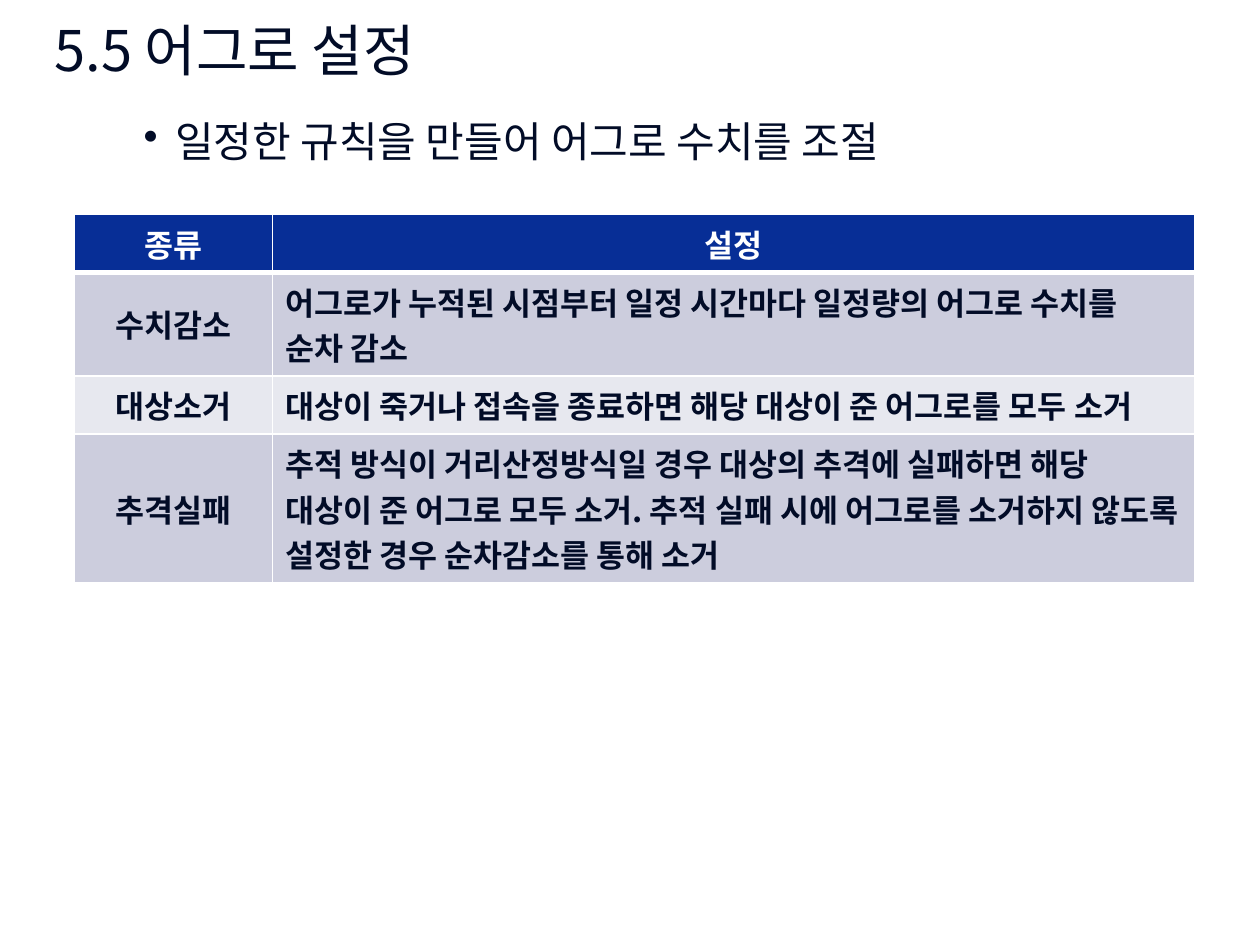
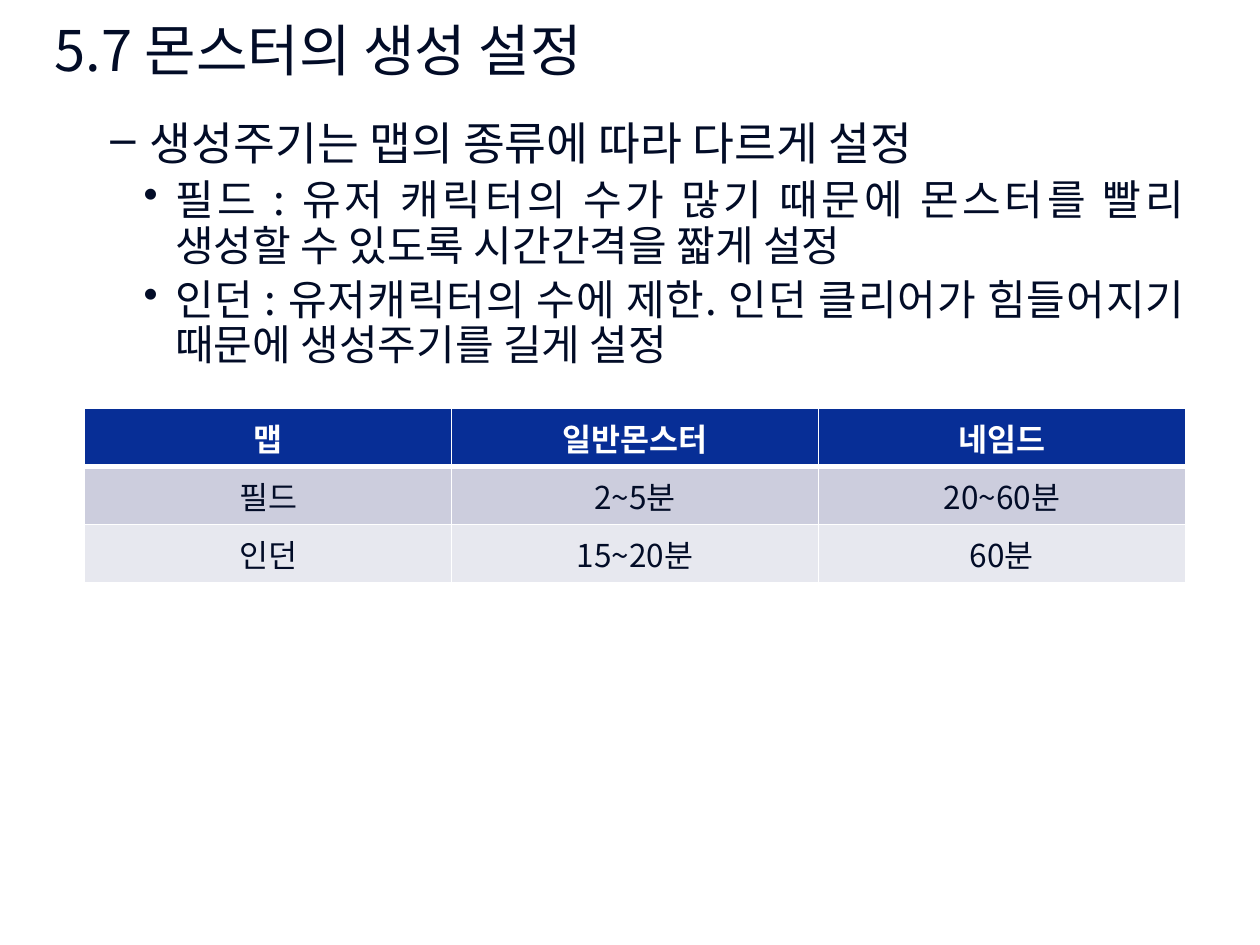
from dataclasses import dataclass

from lxml import etree
from pptx import Presentation
from pptx.dml.color import RGBColor
from pptx.enum.text import MSO_ANCHOR, PP_ALIGN
from pptx.oxml.ns import qn
from pptx.slide import Slide
from pptx.table import _Cell
from pptx.text.text import TextFrame, _Paragraph
from pptx.util import Pt

LEFT, MID, JUST = PP_ALIGN.LEFT, PP_ALIGN.CENTER, PP_ALIGN.JUSTIFY
MIDDLE = MSO_ANCHOR.MIDDLE


@dataclass(frozen=True)
class Theme:
    font: str = "Noto Sans CJK KR"
    ink: str = "020C27"
    white: str = "FFFFFF"
    head: str = "072E96"
    bands: tuple[str, str] = ("CCCDDD", "E7E8EF")
    title: float = 32
    cell: float = 18
    line: float = 26
    pad: float = 7.2
    rule: float = 1
    thick: float = 3
    pitch: float = 0.9
    gap: float = 5


@dataclass(frozen=True)
class Level:
    mark: str
    size: float
    left: float
    hang: float


@dataclass(frozen=True)
class Point:
    level: Level
    text: str


@dataclass(frozen=True)
class Grid:
    left: float
    top: float
    cols: tuple[float, ...]
    lines: tuple[int, ...]
    aligns: tuple[PP_ALIGN, ...]
    bold: bool
    rows: tuple[tuple[str, ...], ...]


@dataclass(frozen=True)
class Page:
    title: str
    points: tuple[Point, ...]
    grid: Grid


THEME = Theme()
DASH = Level("–", 26, 42.5, 22.5)
DOT = Level("•", 24, 57, 18)

PAGES = (
    Page(
        "5.5 어그로 설정",
        (Point(DOT, "일정한 규칙을 만들어 어그로 수치를 조절"),),
        Grid(42.5, 122.4, (113.3, 527), (1, 2, 1, 3), (MID, LEFT), True, (
            ("종류", "설정"),
            ("수치감소", "어그로가 누적된 시점부터 일정 시간마다 일정량의 어그로 수치를 순차 감소"),
            ("대상소거", "대상이 죽거나 접속을 종료하면 해당 대상이 준 어그로를 모두 소거"),
            ("추격실패", "추적 방식이 거리산정방식일 경우 대상의 추격에 실패하면 해당 대상이 준 "
                     "어그로 모두 소거. 추적 실패 시에 어그로를 소거하지 않도록 설정한 경우 "
                     "순차감소를 통해 소거"),
        )),
    ),
    Page(
        "5.7 몬스터의 생성 설정",
        (
            Point(DASH, "생성주기는 맵의 종류에 따라 다르게 설정"),
            Point(DOT, "필드 : 유저 캐릭터의 수가 많기 때문에 몬스터를 빨리 "
                       "생성할 수 있도록 시간간격을 짧게 설정"),
            Point(DOT, "인던 : 유저캐릭터의 수에 제한. 인던 클리어가 "
                       "힘들어지기 때문에 생성주기를 길게 설정"),
        ),
        Grid(48.3, 233.3, (209.7,) * 3, (1,) * 3, (MID,) * 3, False, (
            ("맵", "일반몬스터", "네임드"),
            ("필드", "2~5분", "20~60분"),
            ("인던", "15~20분", "60분"),
        )),
    ),
)


# Text
def write(para: _Paragraph, text: str, size: float, color: str = THEME.ink,
          bold: bool = False, align: PP_ALIGN = LEFT) -> None:
    para.text = text
    para.alignment = align
    font = para.font
    font.name, font.size, font.bold = THEME.font, Pt(size), bold
    font.color.rgb = RGBColor.from_string(color)
    # Korean letters take the East Asian face, with kerning from 12 pt up
    base = para._p.pPr.find(qn("a:defRPr"))
    base.set("kern", "1200")
    etree.SubElement(base, qn("a:ea"), typeface=THEME.font)


def add_box(slide: Slide, left: float, top: float, width: float,
            height: float) -> TextFrame:
    box = slide.shapes.add_textbox(Pt(left), Pt(top), Pt(width), Pt(height))
    box.text_frame.word_wrap = True
    return box.text_frame


def add_title(slide: Slide, text: str) -> None:
    frame = add_box(slide, 24, 0, 648, 56)
    frame.vertical_anchor = MIDDLE
    write(frame.paragraphs[0], text, THEME.title)


def add_points(slide: Slide, points: tuple[Point, ...]) -> None:
    frame = add_box(slide, 36, 66, 648, 430.5)
    for i, point in enumerate(points):
        para = frame.add_paragraph() if i else frame.paragraphs[0]
        level = point.level
        write(para, point.text, level.size, align=JUST)
        para.line_spacing = THEME.pitch
        para.space_before = Pt(THEME.gap)
        props = para._p.pPr
        props.set("marL", str(Pt(level.left)))
        props.set("indent", str(-Pt(level.hang)))
        mark = etree.Element(qn("a:buChar"), char=level.mark)
        props.find(qn("a:defRPr")).addprevious(mark)


# Table
def add_rules(cell: _Cell, widths: dict[str, float]) -> None:
    props = cell._tc.get_or_add_tcPr()
    for i, (side, width) in enumerate(widths.items()):
        line = etree.Element(qn(f"a:ln{side}"), w=str(Pt(width)))
        fill = etree.SubElement(line, qn("a:solidFill"))
        etree.SubElement(fill, qn("a:srgbClr"), val=THEME.white)
        props.insert(i, line)


def add_grid(slide: Slide, grid: Grid) -> None:
    highs = [THEME.line * lines + THEME.pad for lines in grid.lines]
    table = slide.shapes.add_table(
        len(highs), len(grid.cols), Pt(grid.left), Pt(grid.top),
        Pt(sum(grid.cols)), Pt(sum(highs))).table
    table.first_row = table.horz_banding = False
    for col, width in zip(table.columns, grid.cols):
        col.width = Pt(width)
    for row, high in zip(table.rows, highs):
        row.height = Pt(high)
    for r, texts in enumerate(grid.rows):
        head = r == 0
        shade = THEME.head if head else THEME.bands[(r - 1) % 2]
        widths = dict.fromkeys("LRTB", THEME.rule)
        if r < 2:
            widths["B" if head else "T"] = THEME.thick
        for c, text in enumerate(texts):
            cell = table.cell(r, c)
            cell.vertical_anchor = MIDDLE
            cell.fill.solid()
            cell.fill.fore_color.rgb = RGBColor.from_string(shade)
            add_rules(cell, widths)
            write(cell.text_frame.paragraphs[0], text, THEME.cell,
                  THEME.white if head else THEME.ink,
                  head or grid.bold, MID if head else grid.aligns[c])


# Deck
def main() -> None:
    deck = Presentation()
    deck.slide_width, deck.slide_height = Pt(720), Pt(540)
    blank = deck.slide_layouts[6]
    for page in PAGES:
        slide = deck.slides.add_slide(blank)
        add_title(slide, page.title)
        add_points(slide, page.points)
        add_grid(slide, page.grid)
    deck.save("out.pptx")


if __name__ == "__main__":
    main()
